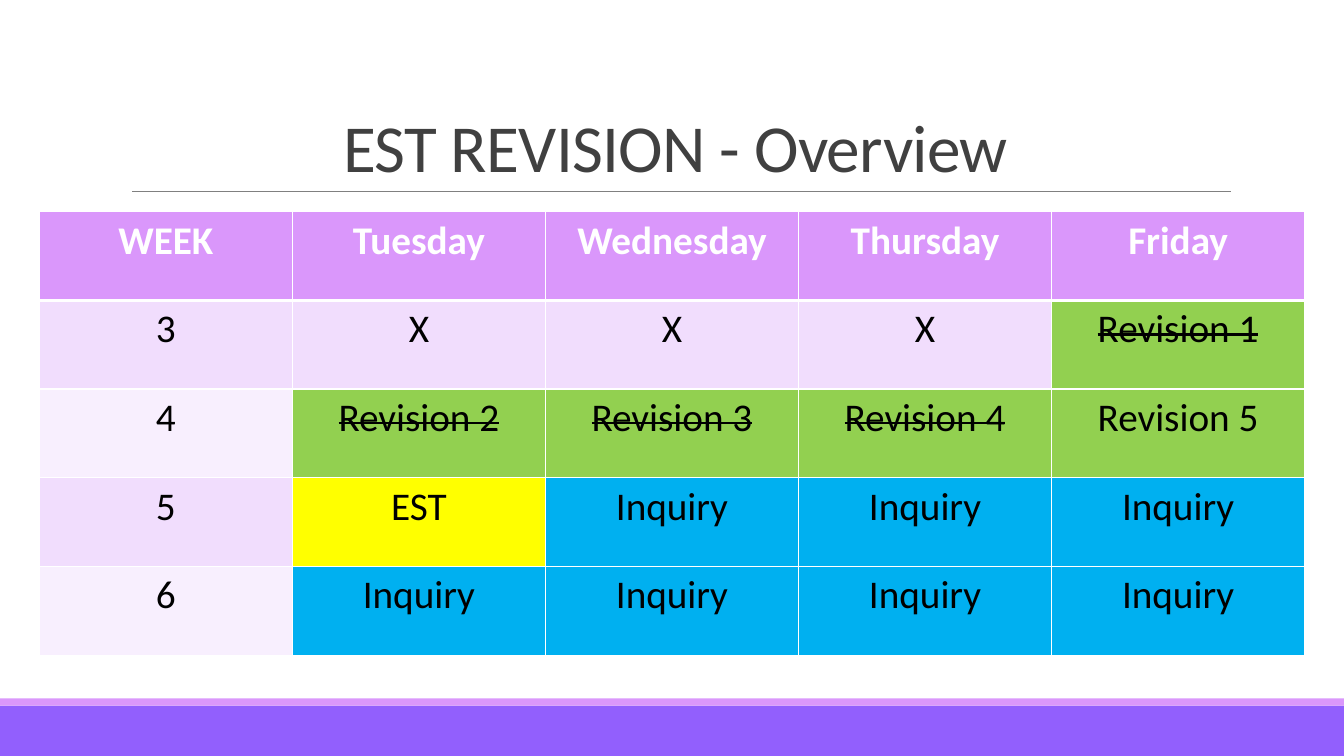
from pptx import Presentation
from pptx.dml.color import RGBColor
from pptx.enum import shapes, text
from pptx.oxml import parse_xml
from pptx.oxml.ns import nsdecls, qn
from pptx.util import Inches, Pt

# Content
TITLE = "EST REVISION - Overview"
SCHEDULE = [
    ["WEEK", "Tuesday", "Wednesday", "Thursday", "Friday"],
    ["3", "X", "X", "X", "Revision 1"],
    ["4", "Revision 2", "Revision 3", "Revision 4", "Revision 5"],
    ["5", "EST", "Inquiry", "Inquiry", "Inquiry"],
    ["6", "Inquiry", "Inquiry", "Inquiry", "Inquiry"],
]
DONE = {"Revision 1", "Revision 2", "Revision 3", "Revision 4"}

# Look
FONT = "Calibri"
WHITE = RGBColor(0xFF, 0xFF, 0xFF)
BLACK = RGBColor(0, 0, 0)
TITLE_GREY = RGBColor(0x40, 0x40, 0x40)
RULE_GREY = RGBColor(0x80, 0x80, 0x80)
VIOLET = RGBColor(0x92, 0x5F, 0xFD)
ORCHID = RGBColor(0xDA, 0x97, 0xFB)
BANDS = [RGBColor(0xF8, 0xEF, 0xFE), RGBColor(0xF1, 0xDD, 0xFD)]
ACTIVITY_FILLS = {
    "Revision": RGBColor(0x92, 0xD0, 0x50),
    "EST": RGBColor(0xFF, 0xFF, 0x00),
    "Inquiry": RGBColor(0x00, 0xB0, 0xF0),
}
COLUMN, ROW = Inches(2.51), Inches(0.88)


def add_band(page, top, height, color):
    band = page.shapes.add_shape(shapes.MSO_SHAPE.RECTANGLE, 0, Inches(top),
                                 deck.slide_width, Inches(height))
    band.shadow.inherit = False
    band.fill.solid()
    band.fill.fore_color.rgb = color
    band.line.fill.background()


def set_borders(cell, bottom_points):
    properties = cell._tc.get_or_add_tcPr()
    widths = {"lnL": 1, "lnR": 1, "lnT": 1, "lnB": bottom_points}
    for position, (side, points) in enumerate(widths.items()):
        properties.insert(position, parse_xml(
            f'<a:{side} {nsdecls("a")} w="{Pt(points)}"><a:solidFill>'
            f'<a:srgbClr val="{WHITE}"/></a:solidFill></a:{side}>'))


def format_cell(cell, row, label):
    header = row == 0
    base = ORCHID if header else BANDS[row % 2]
    cell.fill.solid()
    cell.fill.fore_color.rgb = ACTIVITY_FILLS.get(label.split()[0], base)
    set_borders(cell, 3 if row == 0 else 1)
    cell.text_frame.text = label
    para = cell.text_frame.paragraphs[0]
    para.alignment = text.PP_ALIGN.CENTER
    font = para.runs[0].font
    font.name, font.size, font.bold = FONT, Pt(28), header
    font.color.rgb = WHITE if header else BLACK
    if label in DONE:
        para.runs[0]._r.get_or_add_rPr().set("strike", "sngStrike")


deck = Presentation()
deck.slide_width, deck.slide_height = Inches(13.33), Inches(7.5)
page = deck.slides.add_slide(deck.slide_layouts[5])

# Footer bands and the rule under the title
add_band(page, 7, 0.5, VIOLET)
add_band(page, 6.93, 0.07, ORCHID)
rule = page.shapes.add_connector(shapes.MSO_CONNECTOR.STRAIGHT, Inches(1.31),
                                 Inches(1.9), Inches(12.21), Inches(1.9))
rule.line.color.rgb = RULE_GREY
rule.line.width = Pt(0.5)
rule._element.spPr.append(rule._element.makeelement(qn("a:effectLst"), {}))

# Title
title = page.shapes.title
title.left, title.top = Inches(1.2), Inches(0.31)
title.width, title.height = Inches(11), Inches(1.59)
frame = title.text_frame
frame.text = TITLE
frame.word_wrap = True
frame.auto_size = text.MSO_AUTO_SIZE.NONE
frame.vertical_anchor = text.MSO_ANCHOR.BOTTOM
heading = frame.paragraphs[0]
heading.alignment = text.PP_ALIGN.CENTER
heading.line_spacing = 0.85
span = heading.runs[0]
span.font.name, span.font.size = FONT, Pt(48)
span.font.color.rgb = TITLE_GREY
span._r.get_or_add_rPr().set("spc", "-50")

# Weekly schedule
row_count, column_count = len(SCHEDULE), len(SCHEDULE[0])
table = page.shapes.add_table(row_count, column_count, Inches(0.39), Inches(2.1),
                              COLUMN * column_count, ROW * row_count).table
for column in table.columns:
    column.width = COLUMN
for row, labels in enumerate(SCHEDULE):
    table.rows[row].height = ROW
    for column, label in enumerate(labels):
        format_cell(table.cell(row, column), row, label)

deck.save("out.pptx")
